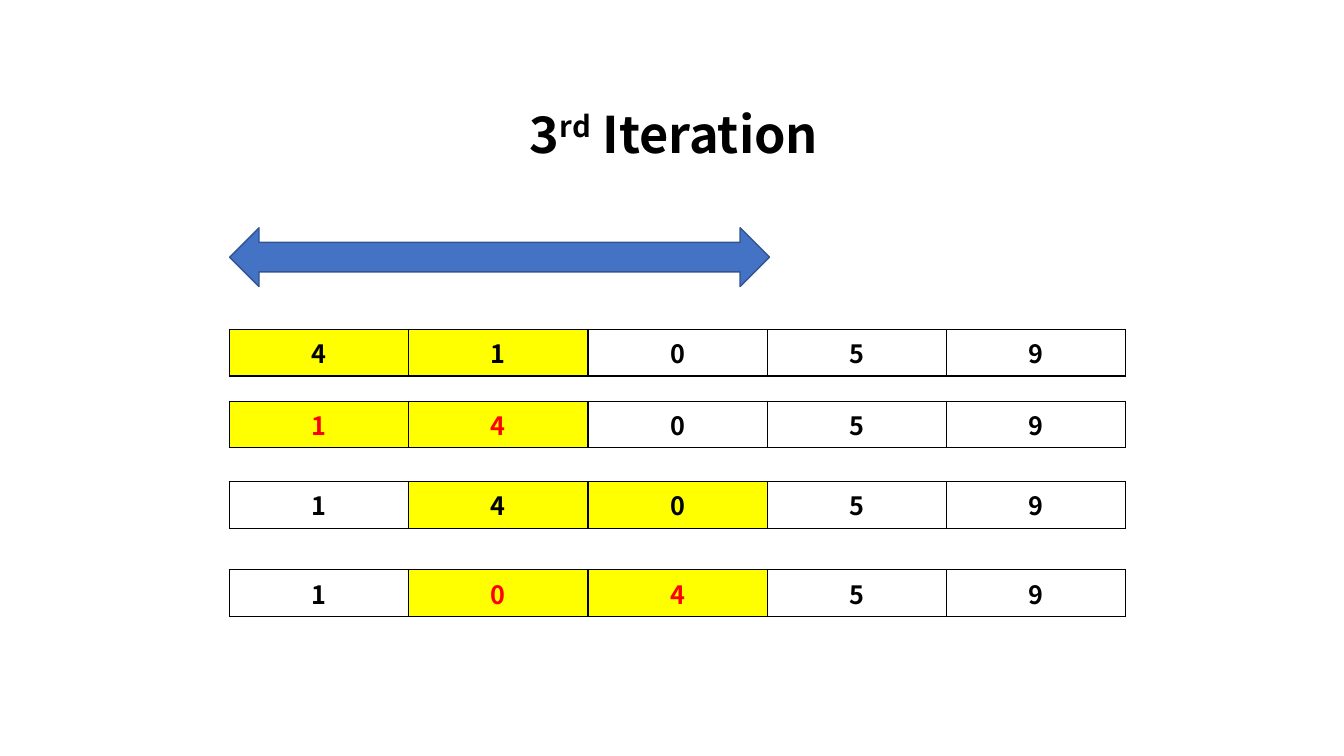
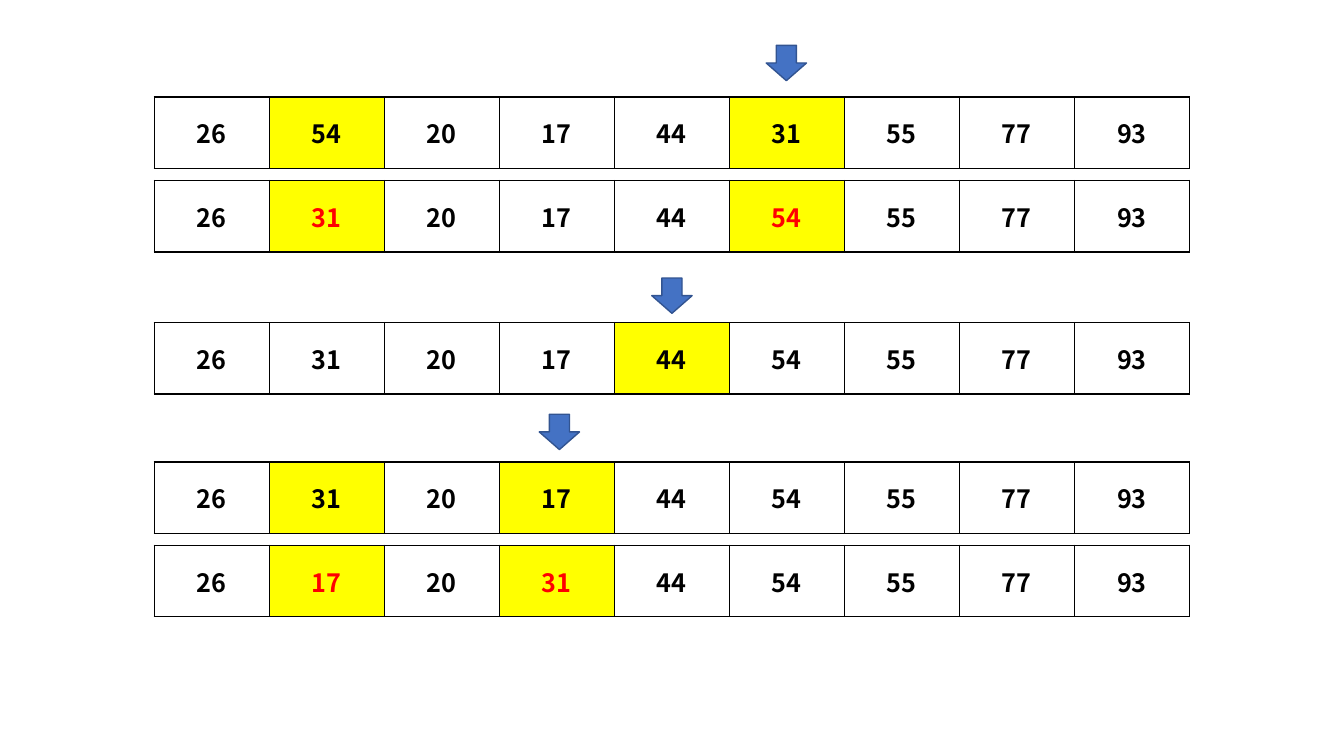
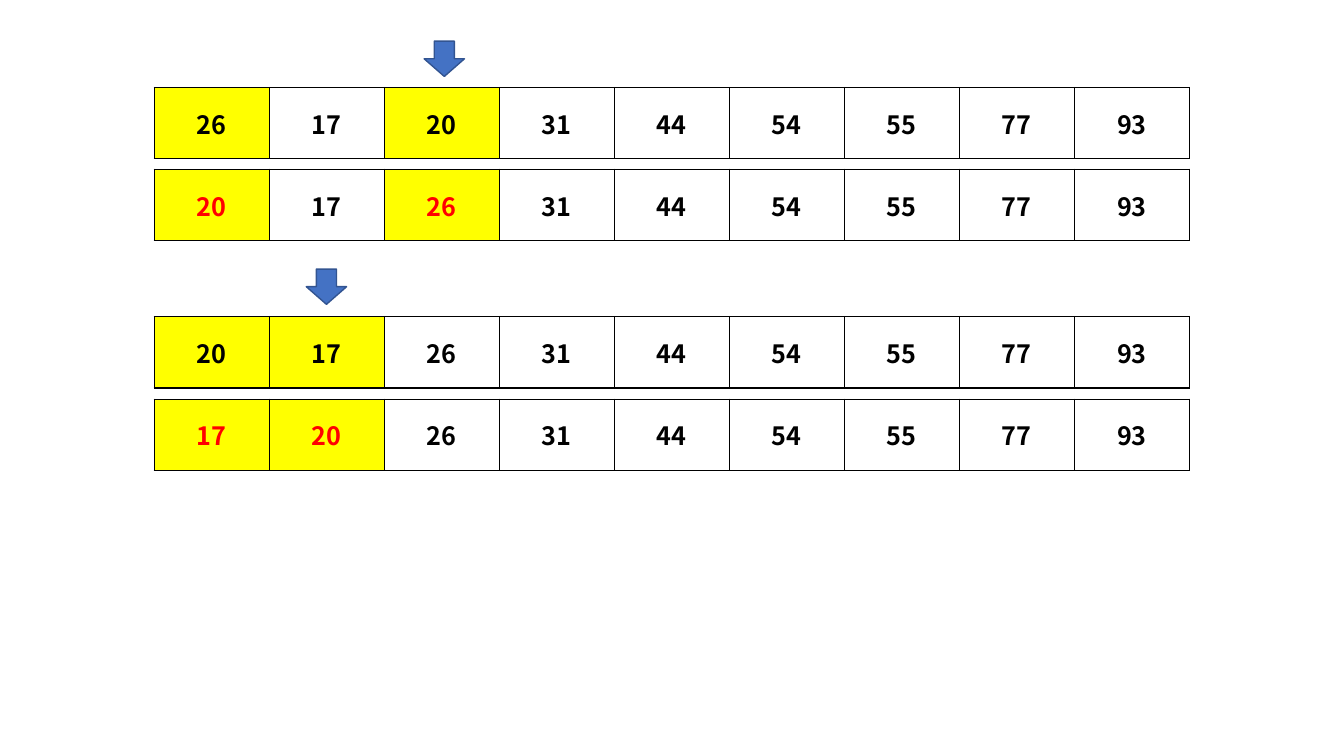
from dataclasses import dataclass

from lxml import etree
from pptx import Presentation, util as u
from pptx.dml.color import RGBColor
from pptx.enum import shapes, text
from pptx.oxml import ns

BLACK = RGBColor(0x00, 0x00, 0x00)
WHITE = RGBColor(0xFF, 0xFF, 0xFF)
RED = RGBColor(0xFF, 0x00, 0x00)
YELLOW = RGBColor(0xFF, 0xFF, 0x00)
BLUE = RGBColor(0x44, 0x72, 0xC4)
NAVY = RGBColor(0x32, 0x54, 0x91)
FONT = "Noto Sans CJK KR"
DOWN = shapes.MSO_SHAPE.DOWN_ARROW
SPAN = shapes.MSO_SHAPE.LEFT_RIGHT_ARROW


@dataclass(frozen=True)
class Grid:
    left: float
    col: float
    high: float


@dataclass(frozen=True)
class Row:
    top: float
    items: str
    hot: tuple[int, ...]
    swap: bool = False


@dataclass(frozen=True)
class Arrow:
    left: float
    top: float
    wide: float = 28.8
    high: float = 25.2
    kind: shapes.MSO_SHAPE = DOWN


@dataclass(frozen=True)
class Page:
    grid: Grid
    rows: tuple[Row, ...]
    arrows: tuple[Arrow, ...]


SMALL = Grid(164, 128, 29.5)
LARGE = Grid(110.2, 82.15, 51.1)

PAGES = (
    Page(SMALL, (
        Row(235.3, "4 1 0 5 9", (0, 1)),
        Row(286.5, "1 4 0 5 9", (0, 1), True),
        Row(344, "1 4 0 5 9", (1, 2)),
        Row(407, "1 0 4 5 9", (1, 2), True),
    ), (Arrow(164, 162.7, 385.6, 42, SPAN),)),
    Page(LARGE, (
        Row(69.3, "26 54 20 17 44 31 55 77 93", (1, 5)),
        Row(128.9, "26 31 20 17 44 54 55 77 93", (1, 5), True),
        Row(230.3, "26 31 20 17 44 54 55 77 93", (4,)),
        Row(330, "26 31 20 17 44 54 55 77 93", (1, 3)),
        Row(389.5, "26 17 20 31 44 54 55 77 93", (1, 3), True),
    ), (Arrow(547.3, 32.4), Arrow(465.6, 198.6), Arrow(385.2, 295.9))),
    Page(LARGE, (
        Row(62.4, "26 17 20 31 44 54 55 77 93", (0, 2)),
        Row(120.9, "20 17 26 31 44 54 55 77 93", (0, 2), True),
        Row(226, "20 17 26 31 44 54 55 77 93", (0, 1)),
        Row(285.1, "17 20 26 31 44 54 55 77 93", (0, 1), True),
    ), (Arrow(303, 29.4), Arrow(218.8, 192.2))),
)


def write(para, words: str, *, size: float = 18, color: RGBColor = BLACK,
          align=None, base: int = 0) -> None:
    run = para.add_run()
    run.text = words
    run.font.name = FONT
    run.font.size = u.Pt(size)
    run.font.bold = True
    run.font.color.rgb = color
    if base:
        run._r.get_or_add_rPr().set("baseline", str(base * 1000))
    if align is not None:
        para.alignment = align


def edge(cell) -> None:
    props = cell._tc.get_or_add_tcPr()
    for side in "LRTB":
        line = etree.SubElement(props, ns.qn(f"a:ln{side}"), w=str(u.Pt(1)))
        fill = etree.SubElement(line, ns.qn("a:solidFill"))
        etree.SubElement(fill, ns.qn("a:srgbClr"), val=str(BLACK))


def draw_row(slide, grid: Grid, row: Row) -> None:
    items = row.items.split()
    table = slide.shapes.add_table(
        1, len(items), u.Pt(grid.left), u.Pt(row.top),
        u.Pt(grid.col * len(items)), u.Pt(grid.high)).table
    table.first_row = False
    table.horz_banding = False
    for i, item in enumerate(items):
        table.columns[i].width = u.Pt(grid.col)
        cell = table.cell(0, i)
        edge(cell)
        cell.fill.solid()
        cell.fill.fore_color.rgb = YELLOW if i in row.hot else WHITE
        cell.vertical_anchor = text.MSO_ANCHOR.MIDDLE
        write(cell.text_frame.paragraphs[0], item, align=text.PP_ALIGN.CENTER,
              color=RED if row.swap and i in row.hot else BLACK)


def draw_arrow(slide, arrow: Arrow) -> None:
    shape = slide.shapes.add_shape(
        arrow.kind, u.Pt(arrow.left), u.Pt(arrow.top),
        u.Pt(arrow.wide), u.Pt(arrow.high))
    shape.shadow.inherit = False
    shape.fill.solid()
    shape.fill.fore_color.rgb = BLUE
    shape.line.color.rgb = NAVY
    shape.line.width = u.Pt(1)


def draw_title(slide) -> None:
    box = slide.shapes.add_textbox(u.Pt(371.5), u.Pt(69.8), u.Pt(220.3), u.Pt(51.1))
    frame = box.text_frame
    frame.word_wrap = False
    frame.auto_size = text.MSO_AUTO_SIZE.SHAPE_TO_FIT_TEXT
    para = frame.paragraphs[0]
    for words, base in (("3", 0), ("rd", 30), (" Iteration", 0)):
        write(para, words, size=36, base=base)


def main() -> None:
    deck = Presentation()
    deck.slide_width, deck.slide_height = u.Pt(960), u.Pt(540)
    for page in PAGES:
        slide = deck.slides.add_slide(deck.slide_layouts[6])
        for arrow in page.arrows:
            draw_arrow(slide, arrow)
        for row in page.rows:
            draw_row(slide, page.grid, row)
    draw_title(deck.slides[0])
    deck.save("out.pptx")


main()
